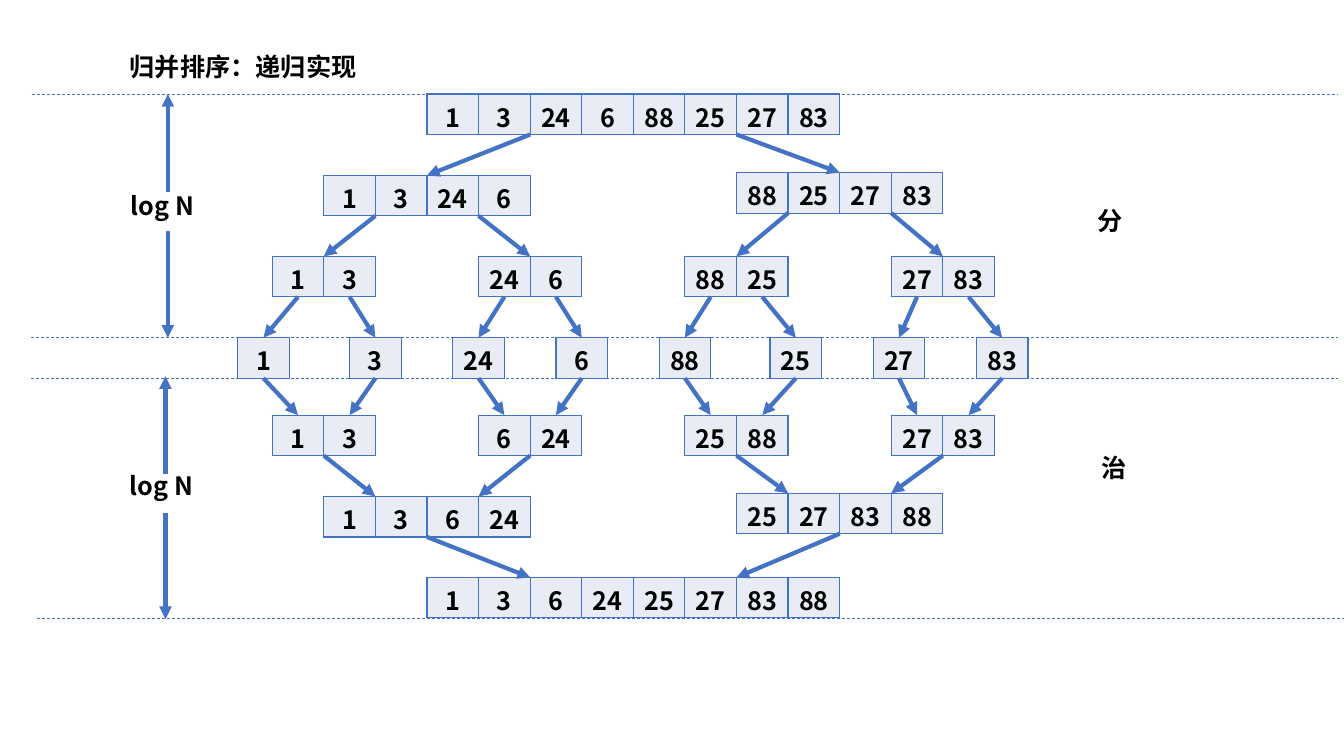
from dataclasses import dataclass

from pptx import Presentation
from pptx.dml.color import RGBColor as RGB
from pptx.enum.dml import MSO_LINE_DASH_STYLE as DASH
from pptx.enum.shapes import MSO_CONNECTOR as CONNECTOR
from pptx.enum.text import PP_ALIGN as ALIGN
from pptx.oxml import parse_xml
from pptx.oxml.ns import nsdecls, qn
from pptx.oxml.xmlchemy import OxmlElement
from pptx.util import Cm, Pt


@dataclass(frozen=True)
class Theme:
    font: str = "Noto Sans CJK SC"
    size: float = 18
    text: str = "000000"
    cell: str = "E9EBF5"
    line: str = "4472C4"
    arrow_width: float = 3
    border_width: float = 1
    dash_width: float = 0.5


# Lengths in centimetres
CELL, ROW, GRID_LEFT = 1.3, 1.02, 6.86

# Each array: grid column, top, values
SPLIT = [
    [(3, 2.37, [1, 3, 24, 6, 88, 25, 27, 83])],
    [(1, 4.42, [1, 3, 24, 6]), (9, 4.35, [88, 25, 27, 83])],
    [(0, 6.46, [1, 3]), (4, 6.46, [24, 6]),
     (8, 6.46, [88, 25]), (12, 6.46, [27, 83])],
    [(col, 8.51, [n]) for col, n in zip(
        [-0.67, 1.5, 3.5, 5.5, 7.5, 9.65, 11.65, 13.65],
        [1, 3, 24, 6, 88, 25, 27, 83])],
]
MERGE = [
    [(3, 14.55, [1, 3, 6, 24, 25, 27, 83, 88])],
    [(1, 12.51, [1, 3, 6, 24]), (9, 12.43, [25, 27, 83, 88])],
    [(0, 10.46, [1, 3]), (4, 10.46, [6, 24]),
     (8, 10.46, [25, 88]), (12, 10.46, [27, 83])],
]
TEXTS = [
    ("归并排序：递归实现", 3.02, 1.3, 7.49),
    ("分", 27.41, 5.18, 1.3),
    ("治", 27.51, 11.4, 1.3),
    ("log N", 3.05, 4.8, 2.36),
    ("log N", 3.02, 11.86, 2.36),
]
DASH_LENGTH = 32.92
DASHES = [(0.79, 9.53), (0.79, 8.51), (0.94, 15.57), (0.8, 2.37)]
# Each depth arrow: x, start, end
DEPTH_ARROWS = [(4.23, 4.85, 2.37), (4.23, 5.82, 8.51),
                (4.17, 11.94, 9.48), (4.17, 12.93, 15.6)]


def grid_x(col):
    return GRID_LEFT + col * CELL


def at(array, part):
    """Give the x at a fraction of the array's width."""
    col, _, values = array
    return grid_x(col + part * len(values))


def links(levels):
    """Yield parent, child and the parent's quarter point for each branch."""
    for parents, children in zip(levels, levels[1:]):
        for i, child in enumerate(children):
            yield parents[i // 2], child, 0.75 if i % 2 else 0.25


class Deck:
    def __init__(self, prs, theme):
        self.theme = theme
        self.s = prs.slides.add_slide(prs.slide_layouts[6])

    def run(self, p, text):
        r = p.add_run()
        r.text = text
        fmt = {"name": self.theme.font, "size": Pt(self.theme.size), "bold": True}
        for key, value in fmt.items():
            setattr(r.font, key, value)
        r.font.color.rgb = RGB.from_string(self.theme.text)
        ea = OxmlElement("a:ea")
        ea.set("typeface", self.theme.font)
        r._r.get_or_add_rPr().append(ea)

    def text(self, text, x, y, w):
        tf = self.s.shapes.add_textbox(Cm(x), Cm(y), Cm(w), Cm(ROW)).text_frame
        fmt = {"word_wrap": True, "margin_top": 0, "margin_bottom": 0}
        for key, value in fmt.items():
            setattr(tf, key, value)
        self.run(tf.paragraphs[0], text)

    def array(self, col, top, values):
        n = len(values)
        table = self.s.shapes.add_table(
            1, n, Cm(grid_x(col)), Cm(top), Cm(n * CELL), Cm(ROW)).table
        table.first_row = table.horz_banding = False
        for cell, value in zip(table.rows[0].cells, values):
            cell.margin_top, cell.margin_bottom = Cm(0.1), 0
            self.borders(cell)
            cell.fill.solid()
            cell.fill.fore_color.rgb = RGB.from_string(self.theme.cell)
            p = cell.text_frame.paragraphs[0]
            p.alignment = ALIGN.CENTER
            self.run(p, str(value))

    def borders(self, cell):
        tc_pr = cell._tc.get_or_add_tcPr()
        for side in "LRTB":
            tc_pr.append(parse_xml(
                f'<a:ln{side} {nsdecls("a")} w="{Pt(self.theme.border_width)}">'
                f'<a:solidFill><a:srgbClr val="{self.theme.line}"/></a:solidFill>'
                f'</a:ln{side}>'))

    def line(self, x1, y1, x2, y2, width):
        c = self.s.shapes.add_connector(
            CONNECTOR.STRAIGHT, Cm(x1), Cm(y1), Cm(x2), Cm(y2))
        c.line.color.rgb = RGB.from_string(self.theme.line)
        c.line.width = Pt(width)
        c.element.spPr.append(OxmlElement("a:effectLst"))
        return c

    def dashed(self, x, y):
        c = self.line(x, y, x + DASH_LENGTH, y, self.theme.dash_width)
        c.line.dash_style = DASH.DASH

    def arrow(self, x1, y1, x2, y2):
        c = self.line(x1, y1, x2, y2, self.theme.arrow_width)
        tail = OxmlElement("a:tailEnd")
        tail.set("type", "triangle")
        c.element.spPr.find(qn("a:ln")).append(tail)


def main():
    prs = Presentation()
    prs.slide_width, prs.slide_height = Cm(33.87), Cm(19.05)
    deck = Deck(prs, Theme())
    for level in SPLIT + MERGE[::-1]:
        for array in level:
            deck.array(*array)
    for parent, child, part in links(SPLIT):
        deck.arrow(at(parent, part), parent[1] + ROW, at(child, 0.5), child[1])
    for parent, child, part in links(MERGE + SPLIT[-1:]):
        deck.arrow(at(child, 0.5), child[1] + ROW, at(parent, part), parent[1])
    for x, y in DASHES:
        deck.dashed(x, y)
    for x, start, end in DEPTH_ARROWS:
        deck.arrow(x, start, x, end)
    for text in TEXTS:
        deck.text(*text)
    prs.save("out.pptx")


if __name__ == "__main__":
    main()
